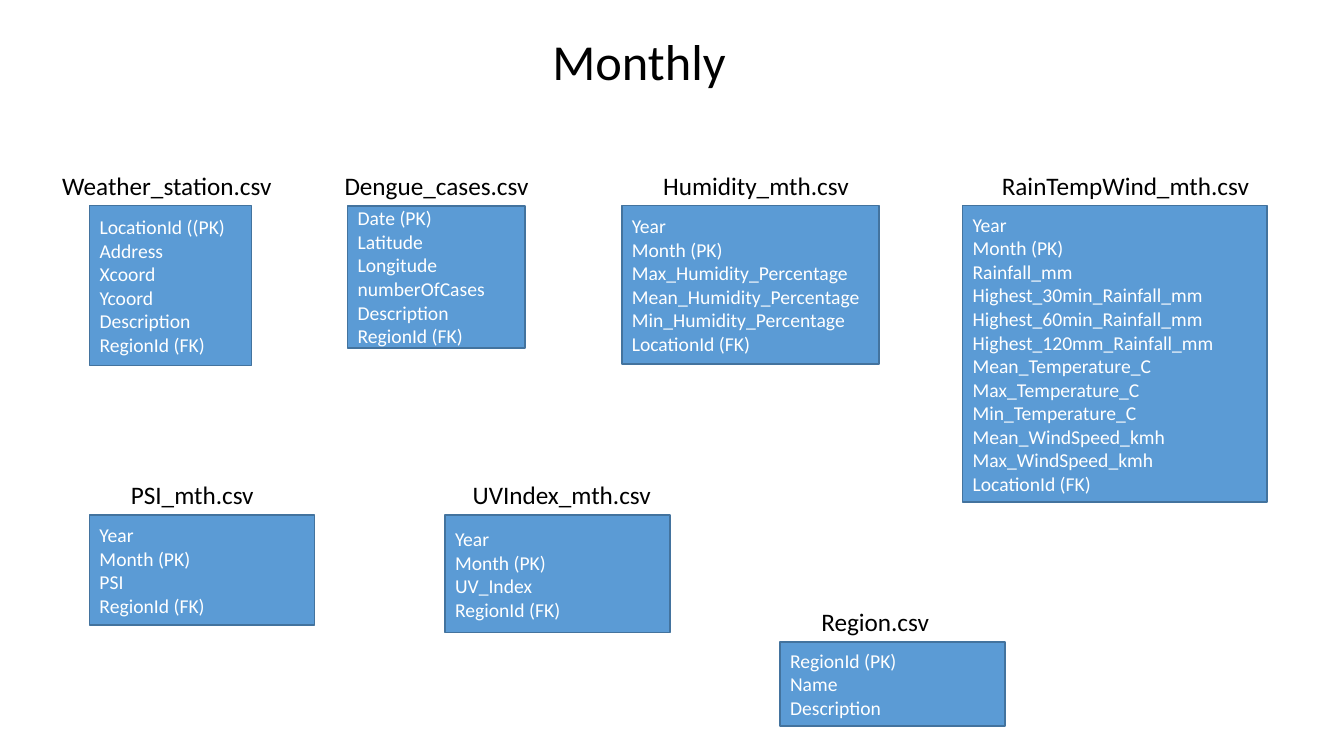
from pptx import Presentation
from pptx.dml.color import RGBColor
from pptx.enum.shapes import MSO_SHAPE
from pptx.enum.text import MSO_ANCHOR, MSO_AUTO_SIZE, PP_ALIGN
from pptx.util import Pt

RECTANGLE = MSO_SHAPE.RECTANGLE
TOP, MIDDLE = MSO_ANCHOR.TOP, MSO_ANCHOR.MIDDLE
LEFT, CENTER = PP_ALIGN.LEFT, PP_ALIGN.CENTER
GROW, FIXED = MSO_AUTO_SIZE.SHAPE_TO_FIT_TEXT, MSO_AUTO_SIZE.NONE

COLORS = {"fill": "5B9BD5", "line": "43739E", "light": "FFFFFF", "dark": "000000"}
FONT = "Calibri"
LABEL_HEIGHT = 29
ROW_1, ROW_2, ROW_3 = 147, 368, 458.5

TITLE = "Monthly"

# file name, (label left, label width), (box left, top, width, height), fields
TABLES = [
    ("Weather_station.csv", (37.4, 168.5), (64, ROW_1, 115.5, 114),
     ["LocationId ((PK)", "Address", "Xcoord", "Ycoord", "Description",
      "RegionId (FK)"]),
    ("Dengue_cases.csv", (239, 147.6), (248.4, ROW_1, 126.7, 101.5),
     ["Date (PK)", "Latitude", "Longitude", "numberOfCases", "Description",
      "RegionId (FK)"]),
    ("Humidity_mth.csv", (466.6, 147.6), (444.2, ROW_1, 183.6, 113),
     ["Year", "Month (PK)", "Max_Humidity_Percentage",
      "Mean_Humidity_Percentage", "Min_Humidity_Percentage",
      "LocationId (FK)"]),
    ("RainTempWind_mth.csv", (708.5, 197.3), (687.6, ROW_1, 217.5, 211.7),
     ["Year", "Month (PK)", "Rainfall_mm", "Highest_30min_Rainfall_mm",
      "Highest_60min_Rainfall_mm", "Highest_120mm_Rainfall_mm",
      "Mean_Temperature_C", "Max_Temperature_C", "Min_Temperature_C",
      "Mean_WindSpeed_kmh", "Max_WindSpeed_kmh", "LocationId (FK)"]),
    ("PSI_mth.csv", (86.4, 115.2), (64, ROW_2, 160.6, 78.5),
     ["Year", "Month (PK)", "PSI", "RegionId (FK)"]),
    ("UVIndex_mth.csv", (330.5, 147.6), (318, ROW_2, 160.6, 84),
     ["Year", "Month (PK)", "UV_Index", "RegionId (FK)"]),
    ("Region.csv", (579.6, 115.2), (557.3, ROW_3, 160.6, 60),
     ["RegionId (PK)", "Name", "Description"]),
]


def write(box, lines, size, color="dark", align=LEFT, anchor=TOP, fit=GROW):
    frame = box.text_frame
    frame.word_wrap = True
    frame.auto_size = fit
    frame.vertical_anchor = anchor
    for index, line in enumerate(lines):
        para = frame.add_paragraph() if index else frame.paragraphs[0]
        para.alignment = align
        span = para.add_run()
        span.text = line
        span.font.name = FONT
        span.font.size = Pt(size)
        span.font.color.rgb = RGBColor.from_string(COLORS[color])


deck = Presentation()
deck.slide_width, deck.slide_height = Pt(960), Pt(540)
page = deck.slides.add_slide(deck.slide_layouts[6])

# Title
title = page.shapes.add_textbox(Pt(260), Pt(18), Pt(393), Pt(51))
write(title, [TITLE], 36, align=CENTER)

# Tables, each with its file name directly above
for name, (label_left, label_width), (left, top, width, height), fields in TABLES:
    box = page.shapes.add_shape(RECTANGLE, Pt(left), Pt(top), Pt(width), Pt(height))
    box.shadow.inherit = False
    box.fill.solid()
    box.fill.fore_color.rgb = RGBColor.from_string(COLORS["fill"])
    box.line.color.rgb = RGBColor.from_string(COLORS["line"])
    box.line.width = Pt(1)
    write(box, fields, 14, color="light", anchor=MIDDLE, fit=FIXED)

    label = page.shapes.add_textbox(
        Pt(label_left), Pt(top - LABEL_HEIGHT), Pt(label_width), Pt(LABEL_HEIGHT))
    write(label, [name], 18)

deck.save("out.pptx")
